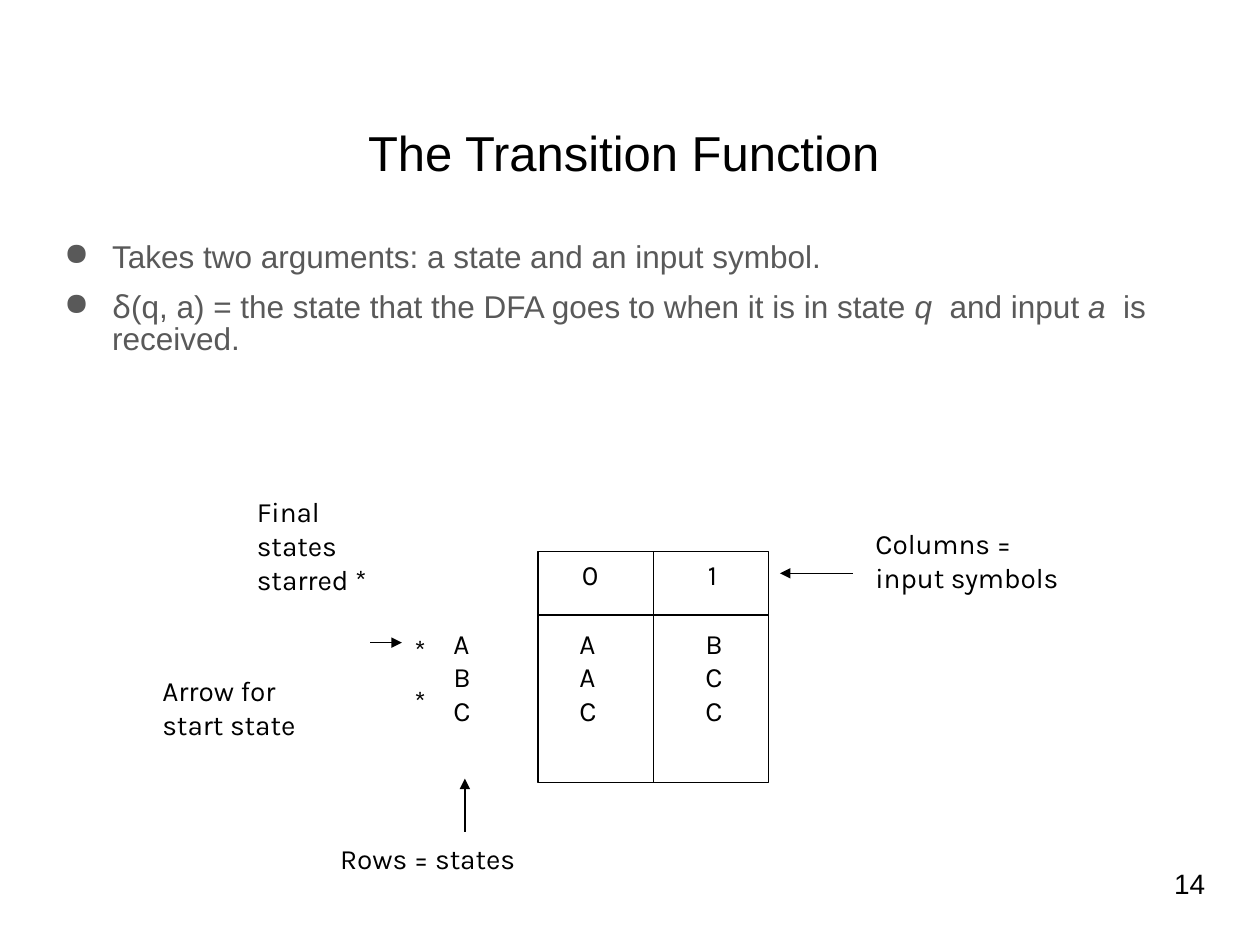
from lxml import etree
from pptx import Presentation
from pptx.dml.color import RGBColor
from pptx.enum.shapes import MSO_CONNECTOR, MSO_SHAPE
from pptx.enum.text import MSO_ANCHOR, PP_ALIGN
from pptx.oxml.ns import qn
from pptx.util import Inches, Pt

STRAIGHT = MSO_CONNECTOR.STRAIGHT
RECTANGLE = MSO_SHAPE.RECTANGLE
MIDDLE = MSO_ANCHOR.MIDDLE
CENTER = PP_ALIGN.CENTER
BLACK, GRAY = "000000", "595959"

TITLE = "The Transition Function"
# Each bullet is a list of (text, font, italic)
BULLETS = [
    [("Takes two arguments: a state and an input symbol.", "Arial", False)],
    [
        ("δ", "Noto Sans", False),
        ("(q, a) = the state that the DFA goes to when it is in state ", "Arial", False),
        ("q", "Arial", True),
        ("  and input ", "Arial", False),
        ("a", "Arial", True),
        ("  is received.", "Arial", False),
    ],
]
# Left, top, width, height, lines
LABELS = [
    (2.6, 6.63, 2.31, 0.5, ["Rows = states"]),
    (6.85, 4.13, 2.23, 0.9, ["Columns =", "input symbols"]),
    (1.94, 3.88, 1.32, 0.64, ["Final states", "starred *"]),
    (1.19, 5.3, 1.69, 0.9, ["Arrow for", "start state"]),
]
INPUT_SYMBOLS = ["0", "1"]
TRANSITIONS = [("A", "A", "B"), ("B", "A", "C"), ("C", "C", "C")]
STAR_TOPS = [4.97, 5.38]
ARROWS = [
    ((3.69, 6.6), (3.69, 6.18)),
    ((6.77, 4.55), (6.19, 4.55)),
    ((2.94, 5.1), (3.19, 5.1)),
]
GRID_LEFT, GRID_TOP, GRID_SIZE, HEADER_HEIGHT = 4.27, 4.38, 1.83, 0.5
COLUMN_STEP = 1


def color(value):
    return RGBColor.from_string(value)


def style(font, size, name=None, fill=BLACK):
    font.size = Pt(size)
    font.color.rgb = color(fill)
    if name:
        font.name = name


def add_box(left, top, width, height, inset=(0.1, 0.05)):
    box = slide.shapes.add_textbox(*map(Inches, (left, top, width, height)))
    frame = box.text_frame
    frame.word_wrap = True
    frame.margin_left = frame.margin_right = Inches(inset[0])
    frame.margin_top = frame.margin_bottom = Inches(inset[1])
    return frame


def add_text(left, top, width, height, lines, font="Karla", tabs=()):
    frame = add_box(left, top, width, height)
    for index, line in enumerate(lines):
        para = frame.paragraphs[0] if index == 0 else frame.add_paragraph()
        para.text = line
        if tabs:
            stops = etree.SubElement(para._p.get_or_add_pPr(), qn("a:tabLst"))
            for tab in tabs:
                etree.SubElement(stops, qn("a:tab"), pos=str(Inches(tab)), algn="l")
        style(para.font, 16, font)


def add_bullet(para):
    properties = para._p.get_or_add_pPr()
    properties.set("marL", str(Inches(0.38)))
    properties.set("indent", str(-Inches(0.38)))
    bullet_color = etree.SubElement(properties, qn("a:buClr"))
    etree.SubElement(bullet_color, qn("a:srgbClr"), val=GRAY)
    etree.SubElement(properties, qn("a:buChar"), char="●")


def add_line(start, end, arrow=False):
    line = slide.shapes.add_connector(STRAIGHT, *map(Inches, (*start, *end)))
    line.line.color.rgb = color(BLACK)
    line.line.width = Pt(0.75)
    if arrow:
        etree.SubElement(line.line._get_or_add_ln(), qn("a:tailEnd"), type="triangle")
    etree.SubElement(line._element.spPr, qn("a:effectLst"))
    return line


deck = Presentation()
deck.slide_width, deck.slide_height = Inches(10), Inches(7.5)
slide = deck.slides.add_slide(deck.slide_layouts[6])

# Page number, title and bullets
add_text(9.22, 6.83, 0.64, 0.52, ["14"], "Arial")

title = add_box(0.23, 0.7, 9.44, 1.09, (0.09, 0.04))
title.vertical_anchor = MIDDLE
para = title.paragraphs[0]
para.text = TITLE
para.alignment = CENTER
para.line_spacing = 0.85
style(para.font, 28, "Arial")

body = add_box(0.42, 1.89, 9.07, 5.14, (0.09, 0.04))
for index, spans in enumerate(BULLETS):
    para = body.paragraphs[0] if index == 0 else body.add_paragraph()
    add_bullet(para)
    para.line_spacing = 0.85
    if index:
        para.space_before = Pt(9.8)
    style(para.font, 18, fill=GRAY)
    for text, name, italic in spans:
        span = para.add_run()
        span.text = text
        span.font.name = name
        span.font.italic = italic

# Transition grid
grid = slide.shapes.add_shape(
    RECTANGLE, *map(Inches, (GRID_LEFT, GRID_TOP, GRID_SIZE, GRID_SIZE)))
grid.shadow.inherit = False
grid.fill.background()
grid.line.color.rgb = color(BLACK)
grid.line.width = Pt(0.75)

header_bottom = GRID_TOP + HEADER_HEIGHT
middle = GRID_LEFT + GRID_SIZE / 2
add_line((GRID_LEFT, header_bottom), (GRID_LEFT + GRID_SIZE, header_bottom))
divider = add_line((middle, GRID_TOP), (middle, GRID_TOP + GRID_SIZE))
divider.begin_connect(grid, 0)
divider.end_connect(grid, 2)

for column, symbol in enumerate(INPUT_SYMBOLS):
    add_text(4.52 + column * COLUMN_STEP, GRID_TOP, 0.38, 0.5, [symbol])
add_text(3.5, 4.92, 2.4, 1.3, ["\t".join(row) for row in TRANSITIONS],
         tabs=(COLUMN_STEP, 2 * COLUMN_STEP))

# Annotations
for *place, lines in LABELS:
    add_text(*place, lines)
for top in STAR_TOPS:
    add_text(3.19, top, 0.38, 0.5, ["*"])
for start, end in ARROWS:
    add_line(start, end, arrow=True)

deck.save("out.pptx")
